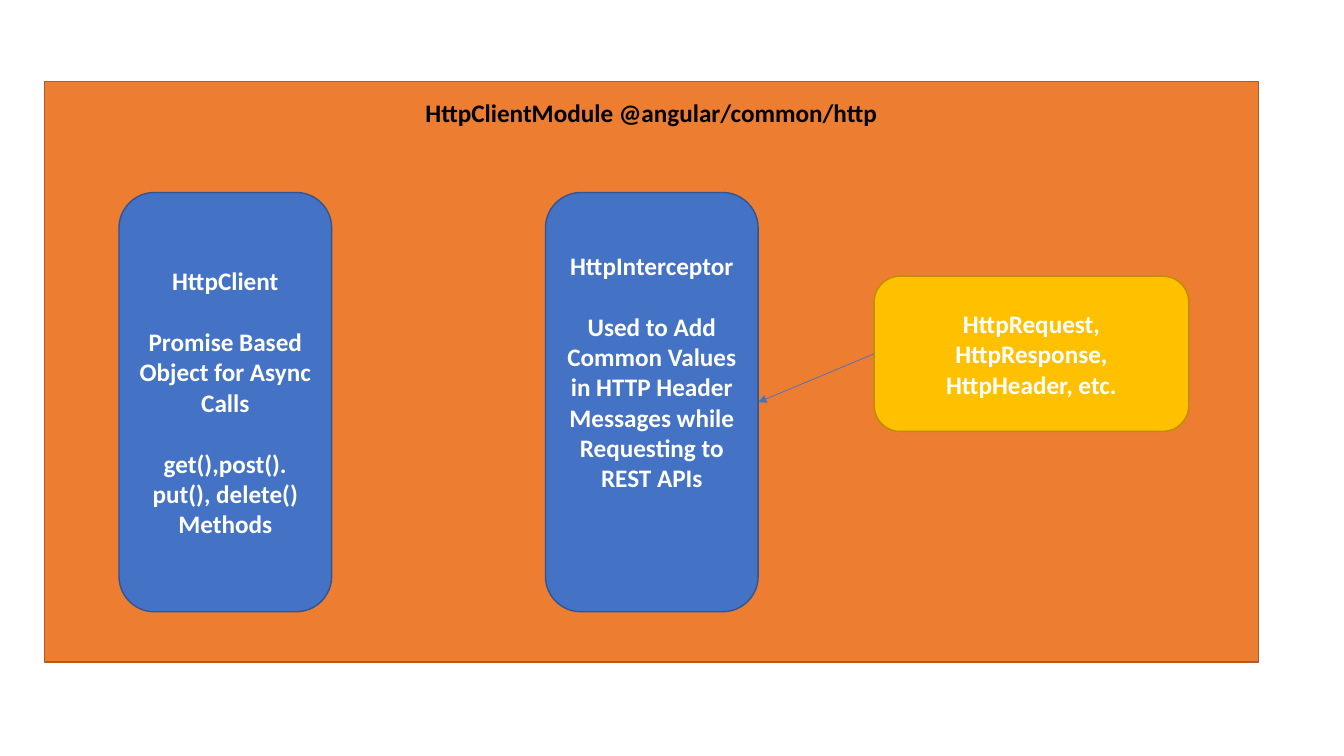
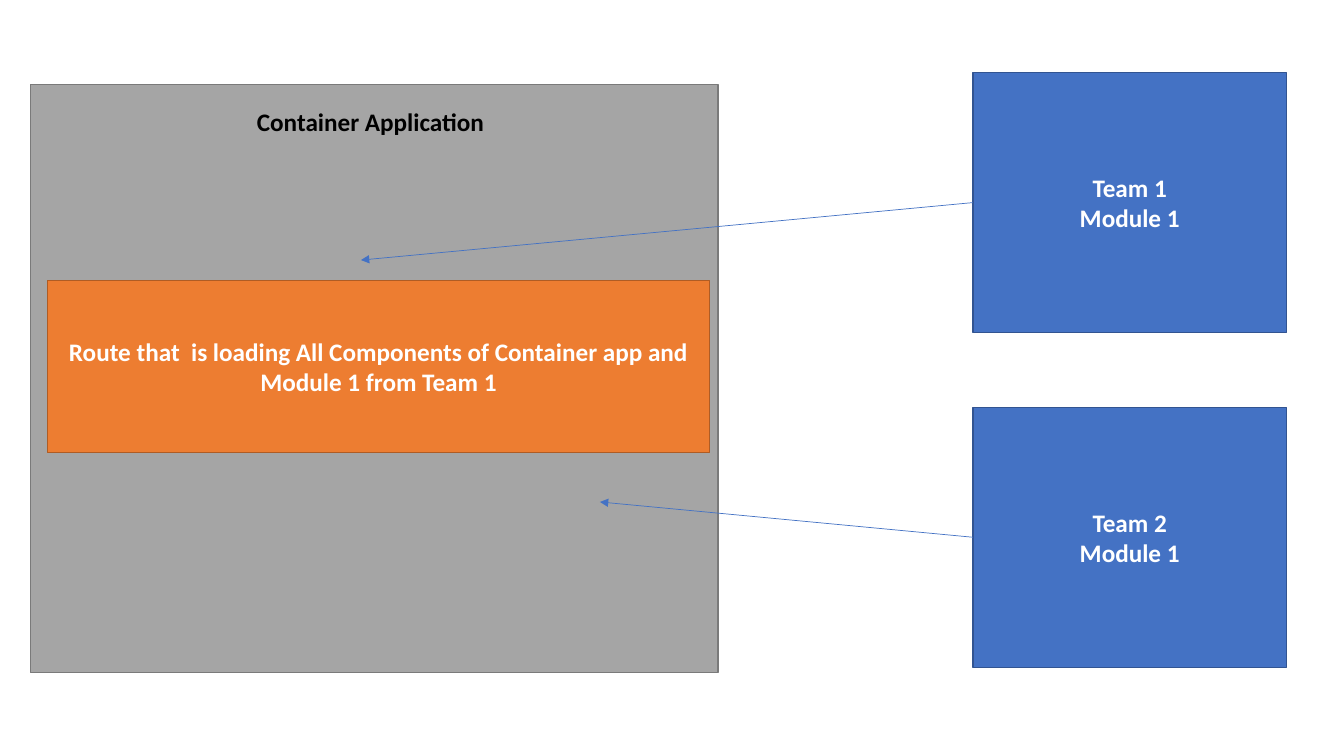
from dataclasses import dataclass
from typing import Optional

from lxml.etree import SubElement
from pptx import Presentation
from pptx.dml.color import RGBColor
from pptx.enum.shapes import MSO_CONNECTOR, MSO_SHAPE
from pptx.enum.text import MSO_ANCHOR, PP_ALIGN
from pptx.oxml.ns import qn
from pptx.shapes.autoshape import Shape
from pptx.shapes.connector import Connector
from pptx.slide import Slide
from pptx.text.text import TextFrame
from pptx.util import Inches, Pt

# Shared style
FONT, SIZE, LINE_HEIGHT = "Calibri", 18, 22
BLUE, ORANGE, GRAY, GOLD = "4472C4", "ED7D31", "A5A5A5", "FFC000"
WHITE, BLACK = "FFFFFF", "000000"
BORDERS = {BLUE: "325491", ORANGE: "AF5C24", GRAY: "7A7A7A", GOLD: "BD8E00"}
LEFT_SITE, RIGHT_SITE = 1, 3


@dataclass
class Box:
    left: float
    top: float
    width: float
    height: float
    fill: str
    lines: tuple[str, ...] = ()
    rounded: bool = False
    gap: float = 0
    bottom_inset: float = 0.05


def rgb(color: str) -> RGBColor:
    return RGBColor.from_string(color)


def write(tf: TextFrame, lines: tuple[str, ...], color: str, gap: float = 0) -> None:
    tf.word_wrap = True
    for i, line in enumerate(lines):
        p = tf.paragraphs[0] if i == 0 else tf.add_paragraph()
        p.text = line
        p.alignment = PP_ALIGN.CENTER
        p.space_before = Pt(gap if i else 0)
        for r in p.runs:
            r.font.name, r.font.size, r.font.bold = FONT, Pt(SIZE), True
            r.font.color.rgb = rgb(color)


def add_box(slide: Slide, box: Box) -> Shape:
    kind = MSO_SHAPE.ROUNDED_RECTANGLE if box.rounded else MSO_SHAPE.RECTANGLE
    sp = slide.shapes.add_shape(kind, Inches(box.left), Inches(box.top),
                                Inches(box.width), Inches(box.height))
    sp.shadow.inherit = False
    sp.fill.solid()
    sp.fill.fore_color.rgb = rgb(box.fill)
    sp.line.color.rgb = rgb(BORDERS[box.fill])
    sp.line.width = Pt(1)
    tf = sp.text_frame
    tf.vertical_anchor = MSO_ANCHOR.MIDDLE
    tf.margin_bottom = Inches(box.bottom_inset)
    write(tf, box.lines, WHITE, box.gap)
    return sp


def add_title(slide: Slide, text: str, left: float, top: float, width: float) -> None:
    sp = slide.shapes.add_textbox(Inches(left), Inches(top), Inches(width), Inches(0.4))
    write(sp.text_frame, (text,), BLACK)


def add_arrow(slide: Slide, source: Shape, x: float = 0, y: float = 0,
              target: Optional[Shape] = None) -> Connector:
    """Run from the left side of source to a point or to the right side of target."""
    line = slide.shapes.add_connector(MSO_CONNECTOR.STRAIGHT, source.left, source.top,
                                      Inches(x), Inches(y))
    line.begin_connect(source, LEFT_SITE)
    if target is not None:
        line.end_connect(target, RIGHT_SITE)
    line.line.color.rgb = rgb(BLUE)
    line.line.width = Pt(0.5)
    sp_pr = line._element.spPr
    SubElement(sp_pr.find(qn("a:ln")), qn("a:tailEnd"), type="triangle")
    SubElement(sp_pr, qn("a:effectLst"))
    return line


prs = Presentation()
prs.slide_width, prs.slide_height = Inches(13.33), Inches(7.5)
blank = prs.slide_layouts[6]

# Slide 1: HTTP client module
slide = prs.slides.add_slide(blank)
add_box(slide, Box(0.44, 0.81, 12.04, 5.76, ORANGE))
add_title(slide, "HttpClientModule @angular/common/http", 0.87, 0.92, 11.18)
add_box(slide, Box(
    1.18, 1.91, 2.11, 4.16, BLUE,
    ("HttpClient", "Promise Based Object for Async Calls",
     "get(),post(). put(), delete() Methods"),
    rounded=True, gap=LINE_HEIGHT))
interceptor = add_box(slide, Box(
    5.41, 1.91, 2.11, 4.16, BLUE,
    ("HttpInterceptor",
     "Used to Add Common Values in HTTP Header Messages while Requesting to REST APIs"),
    rounded=True, gap=LINE_HEIGHT, bottom_inset=0.66))
messages = add_box(slide, Box(
    8.67, 2.74, 3.12, 1.54, GOLD,
    ("HttpRequest, HttpResponse, HttpHeader, etc.",), rounded=True))
add_arrow(slide, messages, target=interceptor)

# Slide 2: container application and team modules
slide = prs.slides.add_slide(blank)
add_box(slide, Box(0.3, 0.84, 6.82, 5.83, GRAY))
add_title(slide, "Container Application", 0.39, 1.01, 6.57)
add_box(slide, Box(
    0.47, 2.78, 6.57, 1.71, ORANGE,
    ("Route that  is loading All Components of Container app and Module 1 from Team 1",)))
for team, top, tip_x, tip_y in (("Team 1", 0.72, 3.58, 2.58), ("Team 2", 4.04, 5.95, 4.98)):
    module = add_box(slide, Box(9.65, top, 3.11, 2.58, BLUE, (team, "Module 1")))
    add_arrow(slide, module, tip_x, tip_y)

prs.save("out.pptx")
